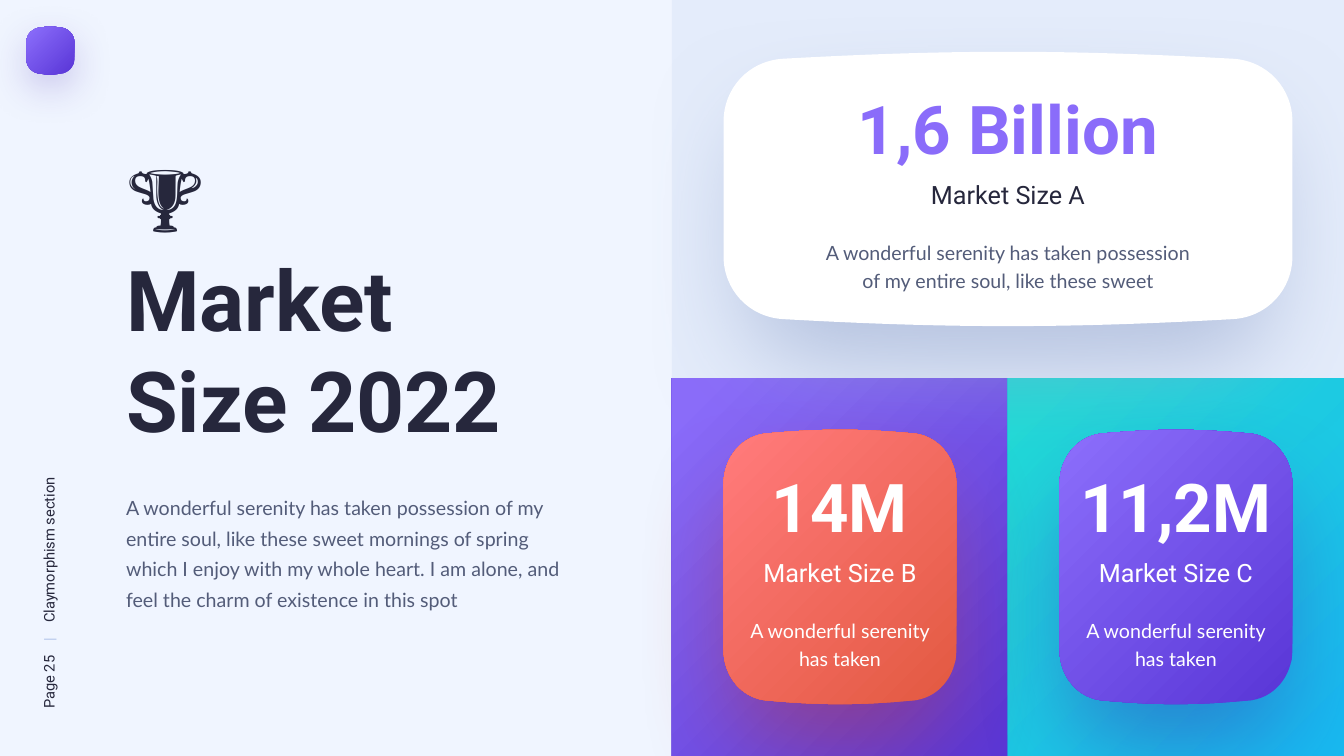
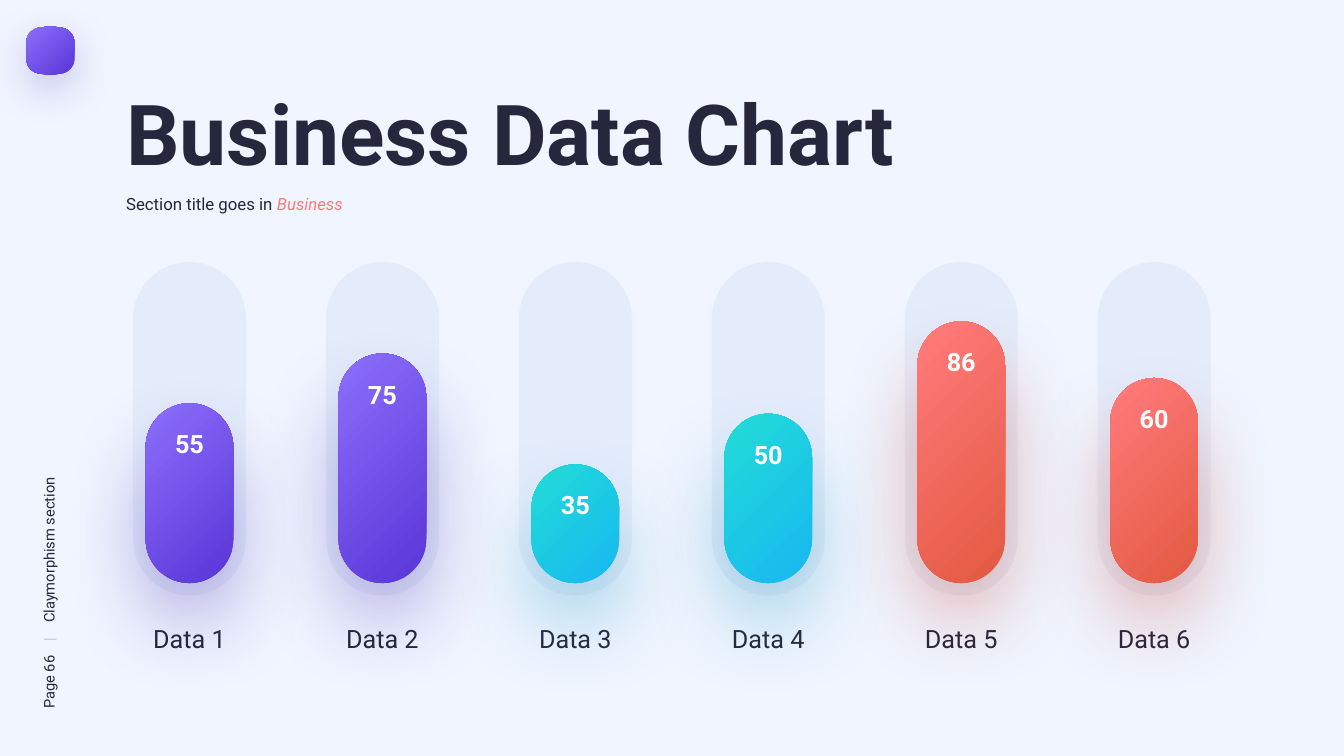
from lxml import etree
from pptx import Presentation
from pptx.dml.color import RGBColor
from pptx.enum import shapes, text
from pptx.oxml import ns
from pptx.util import Pt

# Shared look
HEAD, BODY = "Roboto", "Lato"
PAPER, PANEL, WHITE = "F0F5FF", "E4ECFB", "FFFFFF"
INK, SLATE, RULE = "26273C", "535C79", "B3C5EA"
VIOLET, AQUA, CORAL = ("8A6CFA", "5B38D8"), ("21DAD7", "18BAF0"), ("FF7979", "E45B44")
GLOW = {VIOLET: "3F21AB", AQUA: "0C8EBA", CORAL: "C2341C", WHITE: "93A4CB"}
LEFT, CENTER = text.PP_ALIGN.LEFT, text.PP_ALIGN.CENTER
TEXT_LEFT = 83


def paint(fill, holder, colour):
    """Fill with a hex colour, or with a glow from the top left for a pair."""
    if isinstance(colour, str):
        fill.solid()
        fill.fore_color.rgb = RGBColor.from_string(colour)
        return
    fill.gradient()
    for stop, position, tone in zip(fill.gradient_stops, (0.05, 0.95), colour):
        stop.position = position
        stop.color.rgb = RGBColor.from_string(tone)
    grad = holder.find(ns.qn("a:gradFill"))
    grad.remove(grad.find(ns.qn("a:lin")))
    path = etree.SubElement(grad, ns.qn("a:path"), path="circle")
    etree.SubElement(path, ns.qn("a:fillToRect"), r="100000", b="100000")


def style(sp, colour, shadow=None):
    """Shadow is (opacity in percent, blur, distance)."""
    paint(sp.fill, sp._element.spPr, colour)
    sp.line.fill.background()
    sp.shadow.inherit = False
    if shadow:
        opacity, blur, distance = shadow
        effects = sp._element.spPr.find(ns.qn("a:effectLst"))
        outer = etree.SubElement(
            effects, ns.qn("a:outerShdw"), blurRad=str(Pt(blur)),
            dist=str(Pt(distance)), dir="5400000", sx="92000", sy="92000",
            algn="ctr", rotWithShape="0")
        clr = etree.SubElement(outer, ns.qn("a:srgbClr"), val=GLOW[colour])
        etree.SubElement(clr, ns.qn("a:alpha"), val=str(opacity * 1000))


# Shapes
def add_block(s, kind, box, colour, shadow=None):
    sp = s.shapes.add_shape(kind, *map(Pt, box))
    style(sp, colour, shadow)
    return sp


def add_pill(s, box, colour, shadow=None):
    sp = add_block(s, shapes.MSO_SHAPE.ROUNDED_RECTANGLE, box, colour, shadow)
    sp.adjustments[0] = 0.5


def add_step(path, kind, points=()):
    step = etree.SubElement(path, ns.qn(f"a:{kind}"))
    for px, py in points:
        etree.SubElement(step, ns.qn("a:pt"), x=str(Pt(px)), y=str(Pt(py)))


def add_clay(s, box, corner, colour, shadow):
    """Soft card: straight sides, and top and bottom that bulge."""
    x, y, w, h = box
    dx, dy, bulge = corner
    turn = [(0, dy), (0, dy - (dy - bulge) * 0.53), (dx * 0.42, bulge * 1.3), (dx, bulge)]
    reach = dx + (w - 2 * dx) * 0.37
    top = turn + [(reach, -bulge / 3), (w - reach, -bulge / 3)]
    top += [(w - px, py) for px, py in reversed(turn)]
    bottom = [(px, h - py) for px, py in reversed(top)]
    # Start from the bounding box, then give its path the curves
    builder = s.shapes.build_freeform(Pt(x), Pt(y), scale=1.0)
    builder.add_line_segments([(Pt(x + w), Pt(y)), (Pt(x + w), Pt(y + h)), (Pt(x), Pt(y + h))])
    sp = builder.convert_to_shape()
    path = next(sp._element.iter(ns.qn("a:path")))
    for step in list(path):
        path.remove(step)
    for start, half in (("moveTo", top), ("lnTo", bottom)):
        add_step(path, start, half[:1])
        for i in (1, 4, 7):
            add_step(path, "cubicBezTo", half[i:i + 3])
    add_step(path, "close")
    style(sp, colour, shadow)


# Text
def write(tf, paragraphs, size, font=HEAD, bold=False, align=LEFT, spacing=1.0, tabs=()):
    """Each paragraph is a list of (text, colour) or (text, colour, italic) runs."""
    tf.word_wrap = True
    tf.auto_size = text.MSO_AUTO_SIZE.NONE
    tf.vertical_anchor = text.MSO_ANCHOR.TOP
    for i, runs in enumerate(paragraphs):
        p = tf.add_paragraph() if i else tf.paragraphs[0]
        p.alignment, p.line_spacing = align, spacing
        if tabs:
            tab_list = etree.SubElement(p._p.get_or_add_pPr(), ns.qn("a:tabLst"))
            for pos in tabs:
                etree.SubElement(tab_list, ns.qn("a:tab"), pos=str(Pt(pos)), algn="l")
        for words, colour, *italic in runs:
            r = p.add_run()
            r.text = words
            r.font.size, r.font.name, r.font.bold = Pt(size), font, bold
            if italic:
                r.font.italic = italic[0]
            paint(r.font.fill, r._r.get_or_add_rPr(), colour)


def add_text(s, box, runs, size, **look):
    sp = s.shapes.add_textbox(*map(Pt, box))
    write(sp.text_frame, [runs], size, **look)
    return sp


def add_slide(prs, page, title_lines, title_box):
    s = prs.slides.add_slide(prs.slide_layouts[5])
    # Side footer, reading upwards
    footer = add_text(s, (-80, 387.3, 231, 21),
                      [(f"Page {page}\t", INK), ("|\t", RULE), ("Claymorphism section", INK)],
                      10.5, tabs=(48, 61.3))
    footer.rotation = 270
    # Corner badge
    add_clay(s, (18.8, 19, 34.4, 34.4), (10.5, 11.5, 0.7), VIOLET, (25, 30, 10))
    # Title
    title = s.shapes.title
    title.left, title.top, title.width, title.height = map(Pt, title_box)
    write(title.text_frame, [[(line, INK)] for line in title_lines], 60, bold=True)
    return s


# Slide content
def add_card(s, panel, corner, colour, texts, inks, note_width):
    """Card centred on its panel with a figure, a label and a note."""
    side, edge = 36.8, 37
    px, py, pw, ph = panel
    x, y, w = px + side, py + edge, pw - 2 * side
    add_clay(s, (x, y, w, ph - 2 * edge), corner, colour, (60 if colour == WHITE else 40, 73, 35))
    figure, label, note = texts
    figure_ink, label_ink, note_ink = inks
    add_text(s, (x, y + 22, w, 65), [(figure, figure_ink)], 48, bold=True, align=CENTER)
    add_text(s, (x, y + 87.5, w, 29), [(label, label_ink)], 18, align=CENTER)
    add_text(s, (x + (w - note_width) / 2, y + 128.2, note_width, 46), [(note, note_ink)],
             14, font=BODY, align=CENTER, spacing=1.2)


def market_slide(prs):
    s = add_slide(prs, 25, ("🏆", "Market", "Size 2022"), (TEXT_LEFT, 101, 330, 225))
    add_text(s, (TEXT_LEFT, 345.8, 330, 93),
             [("A wonderful serenity has taken possession of my entire soul, like these "
               "sweet mornings of spring which I enjoy with my whole heart. I am alone, "
               "and feel the charm of existence in this spot", SLATE)],
             14, font=BODY, spacing=1.3)
    wide, narrow = (42.5, 50, 5), (32.5, 39, 2.5)
    short_note = "A wonderful serenity has taken"
    cards = [
        ((480, 0, 480, 270), PANEL, wide, WHITE,
         ("1,6 Billion", "Market Size A", "A wonderful serenity has taken possession "
          "of my entire soul, like these sweet"), (VIOLET, INK, SLATE), 290),
        ((480, 270, 240, 270), VIOLET, narrow, CORAL,
         ("14M", "Market Size B", short_note), (WHITE,) * 3, 166),
        ((720, 270, 240, 270), AQUA, narrow, VIOLET,
         ("11,2M", "Market Size C", short_note), (WHITE,) * 3, 166),
    ]
    for panel, backdrop, *_ in cards:
        add_block(s, shapes.MSO_SHAPE.RECTANGLE, panel, backdrop)
    for panel, _, *card in cards:
        add_card(s, panel, *card)


def chart_slide(prs):
    s = add_slide(prs, 66, ("Business Data Chart",), (TEXT_LEFT, 54.5, 767, 80))
    add_text(s, (TEXT_LEFT, 134.5, 256, 22),
             [("Section title goes in ", INK), ("Business", CORAL[0], True)], 12)
    # Value, bar height, colour
    bars = [("55", 128.5, VIOLET), ("75", 164, VIOLET), ("35", 84.8, AQUA),
            ("50", 121, AQUA), ("86", 187, CORAL), ("60", 146.5, CORAL)]
    first, step, track_width, gap, base = 95.1, 137.8, 80.6, 9, 416.5
    bar_width = track_width - 2 * gap
    for i in range(len(bars)):
        x = first + i * step
        add_pill(s, (x, 187.2, track_width, 238.2), PANEL)
        add_text(s, (x - 12, 441.5, track_width + 24, 29), [(f"Data {i + 1}", INK)],
                 18, align=CENTER)
    for i, (value, height, colour) in enumerate(bars):
        x, top = first + i * step + gap, base - height
        add_pill(s, (x, top, bar_width, height), colour, (40, 61, 30))
        add_text(s, (x, top + 14.6, bar_width, 29), [(value, WHITE)],
                 18, bold=True, align=CENTER)


def main():
    prs = Presentation()
    prs.slide_width, prs.slide_height = Pt(960), Pt(540)
    background = prs.slide_master.background.fill
    background.solid()
    background.fore_color.rgb = RGBColor.from_string(PAPER)
    market_slide(prs)
    chart_slide(prs)
    prs.save("out.pptx")


if __name__ == "__main__":
    main()
